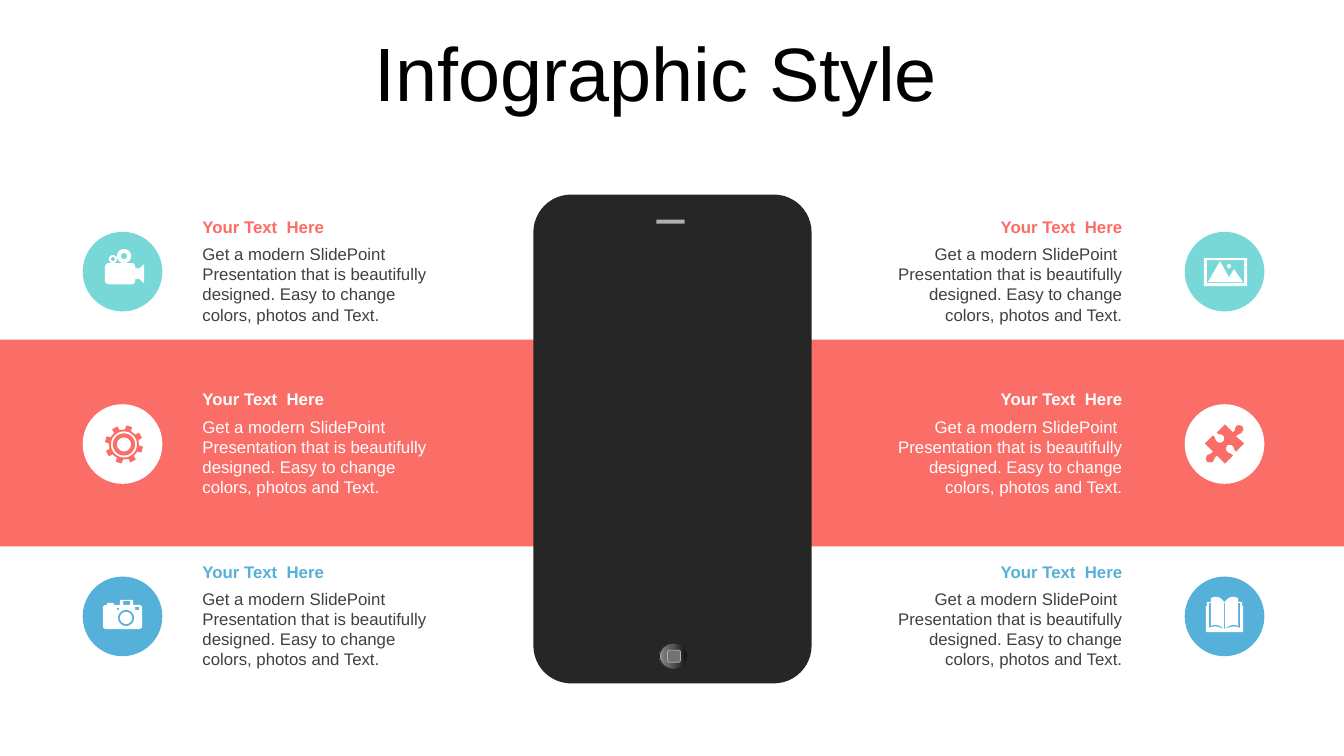
from math import cos, pi, radians, sin

from lxml import etree
from pptx import Presentation
from pptx.dml.color import RGBColor
from pptx.enum.shapes import MSO_SHAPE
from pptx.enum.text import MSO_ANCHOR, MSO_AUTO_SIZE, PP_ALIGN
from pptx.oxml.ns import qn
from pptx.util import Inches, Pt

RECTANGLE = MSO_SHAPE.RECTANGLE
ROUNDED = MSO_SHAPE.ROUNDED_RECTANGLE
OVAL = MSO_SHAPE.OVAL
LEFT, CENTER, RIGHT = PP_ALIGN.LEFT, PP_ALIGN.CENTER, PP_ALIGN.RIGHT
MIDDLE = MSO_ANCHOR.MIDDLE
GROW = MSO_AUTO_SIZE.SHAPE_TO_FIT_TEXT

CORAL, TEAL, BLUE = "FB6D67", "78D7D7", "55B0DA"
WHITE, DARK, GRAY, SILVER = "FFFFFF", "262626", "404040", "B0B0B0"

HEADING = "Your Text  Here"
BODY = ("Get a modern SlidePoint  Presentation that is beautifully designed. "
        "Easy to change colors, photos and Text.")
# Circle, heading, body and icon colours of each row
ROWS = [(TEAL, CORAL, GRAY, WHITE), (WHITE, WHITE, WHITE, CORAL), (BLUE, BLUE, GRAY, WHITE)]
ROW_TOP, ROW_STEP = 2.1, 1.71
# Circle left, text left and alignment of each side
SIDES = [(0.82, 1.91, LEFT), (11.75, 8.59, RIGHT)]


def color(hex_string):
    return RGBColor.from_string(hex_string)


def add_shape(shapes, kind, left, top, width, height, fill, line=None, line_width=0):
    shape = shapes.add_shape(kind, Inches(left), Inches(top), Inches(width), Inches(height))
    style_shape(shape, fill)
    if line:
        shape.line.color.rgb = color(line)
        shape.line.width = Pt(line_width)
    return shape


def style_shape(shape, fill):
    shape.shadow.inherit = False
    shape.fill.solid()
    shape.fill.fore_color.rgb = color(fill)
    shape.line.fill.background()


def set_gradient(shape, stops, angle):
    """Fill with any number of (percent, colour) stops."""
    shape.fill.gradient()
    shape.fill.gradient_angle = angle
    stop_list = shape.element.spPr.find(qn("a:gradFill")).find(qn("a:gsLst"))
    for stop in list(stop_list):
        stop_list.remove(stop)
    for percent, hex_string in stops:
        stop = etree.SubElement(stop_list, qn("a:gs"), pos=str(percent * 1000))
        etree.SubElement(stop, qn("a:srgbClr"), val=hex_string)


def set_text(frame, text, size=12, hex_color=GRAY, bold=False, align=LEFT):
    frame.word_wrap = True
    paragraph = frame.paragraphs[0]
    paragraph.text = text
    paragraph.alignment = align
    font = paragraph.font
    font.name, font.size, font.bold = "Arial", Pt(size), bold
    font.color.rgb = color(hex_color)


def add_text(shapes, left, top, width, height, text, **text_format):
    frame = shapes.add_textbox(Inches(left), Inches(top), Inches(width), Inches(height)).text_frame
    set_text(frame, text, **text_format)
    frame.auto_size = GROW


def box(left, top, right, bottom):
    return [(left, top), (right, top), (right, bottom), (left, bottom)]


def circle(x, y, radius, steps=32):
    angles = [2 * pi * step / steps for step in range(steps)]
    return [(x + radius * cos(angle), y + radius * sin(angle)) for angle in angles]


def flatten(contour, steps=8):
    """Turn pairs (corners) and sextuples (cubic curves) into corners only."""
    points = []
    for item in contour:
        if len(item) == 2:
            points.append(item)
            continue
        corners = [points[-1], item[:2], item[2:4], item[4:]]
        for step in range(1, steps + 1):
            t = step / steps
            weights = [(1 - t) ** 3, 3 * t * (1 - t) ** 2, 3 * t * t * (1 - t), t ** 3]
            points.append(tuple(sum(weight * corner[axis] for weight, corner in zip(weights, corners))
                                for axis in (0, 1)))
    return points


def add_icon(shapes, contours, fill):
    """Draw contours as one outline; a contour inside another makes a hole."""
    builder = None
    for contour in contours:
        start, *others = [(Inches(x), Inches(y)) for x, y in flatten(contour)]
        if builder is None:
            builder = shapes.build_freeform(*start)
        else:
            builder.move_to(*start)
        builder.add_line_segments(others, close=True)
    style_shape(builder.convert_to_shape(), fill)


def video_icon():
    body = [(1.04, 2.65), (1.04, 2.63, 1.06, 2.61, 1.08, 2.61), (1.31, 2.61),
            (1.33, 2.61, 1.34, 2.63, 1.34, 2.65), (1.34, 2.66), (1.36, 2.66), (1.37, 2.67),
            (1.43, 2.62), (1.43, 2.81), (1.37, 2.76), (1.36, 2.77), (1.34, 2.77), (1.34, 2.79),
            (1.34, 2.8, 1.33, 2.82, 1.31, 2.82), (1.08, 2.82), (1.06, 2.82, 1.04, 2.8, 1.04, 2.79)]
    return [body, circle(1.23, 2.54, 0.07), circle(1.23, 2.54, 0.03),
            circle(1.12, 2.57, 0.04), circle(1.12, 2.57, 0.02)]


def gear_icon(x=1.23, y=4.41, teeth=8):
    outline = []
    for tooth in range(teeth):
        for offset, radius in [(-12, 0.15), (-9, 0.19), (9, 0.19), (12, 0.15)]:
            angle = radians(16 + 360 / teeth * tooth + offset)
            outline.append((x + radius * cos(angle), y + radius * sin(angle)))
    return [outline] + [circle(x, y, radius) for radius in (0.13, 0.11, 0.07)]


def camera_icon():
    body = [(1.2, 5.95), (1.31, 5.95), (1.32, 5.96), (1.32, 6), (1.38, 6),
            (1.39, 6, 1.41, 6.01, 1.41, 6.03), (1.41, 6.21), (1.41, 6.23, 1.39, 6.24, 1.38, 6.24),
            (1.05, 6.24), (1.04, 6.24, 1.02, 6.23, 1.02, 6.21), (1.02, 6.03),
            (1.02, 6.01, 1.04, 6, 1.05, 6), (1.06, 6), (1.06, 5.99), (1.07, 5.98), (1.12, 5.98),
            (1.13, 5.99), (1.13, 6), (1.19, 6), (1.19, 5.96)]
    return [body, circle(1.25, 6.13, 0.08), circle(1.25, 6.13, 0.06), box(1.22, 5.96, 1.29, 6),
            box(1.16, 6.03, 1.18, 6.05), box(1.34, 6.02, 1.38, 6.05)]


def photo_icon():
    mountains = [(12.1, 2.59), (12.19, 2.75), (12.24, 2.67), (12.33, 2.8), (11.98, 2.8)]
    return [box(11.94, 2.56, 12.37, 2.84), box(11.97, 2.58, 12.34, 2.81), mountains,
            circle(12.19, 2.64, 0.02)]


def puzzle_icon():
    return [[(12.32, 4.23), (12.33, 4.24, 12.34, 4.27, 12.32, 4.28),
             (12.31, 4.31, 12.28, 4.3, 12.26, 4.33), (12.34, 4.4), (12.26, 4.48),
             (12.23, 4.46, 12.25, 4.44, 12.22, 4.42), (12.21, 4.41, 12.18, 4.41, 12.17, 4.42),
             (12.16, 4.44, 12.15, 4.46, 12.17, 4.48), (12.19, 4.5, 12.2, 4.49, 12.23, 4.52),
             (12.15, 4.6), (12.07, 4.52), (12.04, 4.54, 12.05, 4.55, 12.03, 4.58),
             (12.01, 4.59, 11.99, 4.59, 11.97, 4.58), (11.96, 4.56, 11.96, 4.54, 11.97, 4.52),
             (11.99, 4.5, 12.01, 4.51, 12.03, 4.48), (11.95, 4.4), (12.03, 4.32),
             (12.06, 4.34, 12.05, 4.37, 12.07, 4.38), (12.09, 4.4, 12.12, 4.39, 12.13, 4.38),
             (12.14, 4.37, 12.15, 4.34, 12.13, 4.32), (12.1, 4.3, 12.09, 4.32, 12.07, 4.29),
             (12.15, 4.21), (12.23, 4.29), (12.26, 4.26, 12.24, 4.26, 12.26, 4.23),
             (12.28, 4.21, 12.31, 4.22, 12.32, 4.23)]]


def book_icon(mirror=24.29):
    left_half = flatten([(12.14, 5.97), (12.12, 5.94, 12.09, 5.92, 12.06, 5.92),
                         (12.04, 5.92, 12.03, 5.93, 12.01, 5.93), (12.01, 5.97), (11.97, 5.97),
                         (11.97, 6.01), (11.96, 6.01), (11.96, 6.27)])
    page_edge = flatten([(11.99, 5.98), (12.01, 5.98), (12.01, 6.21),
                         (12.05, 6.19, 12.1, 6.2, 12.14, 6.24),
                         (12.09, 6.22, 12.05, 6.2, 11.99, 6.23)])
    right_half = [(mirror - x, y) for x, y in reversed(left_half)]
    return [left_half + right_half, page_edge, [(mirror - x, y) for x, y in page_edge],
            box(12.14, 5.98, 12.15, 6.24)]


def add_phone(slide):
    shapes = slide.shapes.add_group_shape().shapes
    case = add_shape(shapes, ROUNDED, 5.29, 1.93, 2.76, 4.85, DARK)
    case.adjustments[0] = 0.136
    add_shape(shapes, RECTANGLE, 6.51, 2.18, 0.28, 0.04, SILVER)
    button = add_shape(shapes, OVAL, 6.54, 6.38, 0.28, 0.26, GRAY, line=DARK)
    set_gradient(button, [(0, "0F0F0F"), (56, "595959"), (91, "808080"), (100, "BFBFBF")], 180)
    add_shape(shapes, ROUNDED, 6.62, 6.45, 0.13, 0.12, "737373", line=SILVER, line_width=0.5)


def add_feature(slide, top, side, colors, icon):
    circle_left, text_left, align = side
    circle_color, heading_color, body_color, icon_color = colors
    add_shape(slide.shapes, OVAL, circle_left, top + 0.2, 0.79, 0.79, circle_color)
    add_icon(slide.shapes, icon, icon_color)
    texts = slide.shapes.add_group_shape().shapes
    add_text(texts, text_left, top, 2.64, 0.3, HEADING,
             hex_color=heading_color, bold=True, align=align)
    add_text(texts, text_left, top + 0.27, 2.64, 0.91, BODY, hex_color=body_color, align=align)


def add_title(slide, text):
    title = slide.shapes.title
    title.left, title.top, title.width, title.height = (
        Inches(0), Inches(0.37), Inches(13.01), Inches(0.79))
    set_text(title.text_frame, text, size=54, hex_color="000000", align=CENTER)
    title.text_frame.vertical_anchor = MIDDLE
    title.text_frame.paragraphs[0].line_spacing = 0.9


def main():
    presentation = Presentation()
    presentation.slide_width, presentation.slide_height = Inches(13.33), Inches(7.5)
    slide = presentation.slides.add_slide(presentation.slide_layouts[5])
    add_title(slide, "Infographic Style")
    add_shape(slide.shapes, RECTANGLE, 0, 3.37, 13.33, 2.05, CORAL)
    add_phone(slide)
    icons = [(video_icon(), gear_icon(), camera_icon()), (photo_icon(), puzzle_icon(), book_icon())]
    for side, side_icons in zip(SIDES, icons):
        for row, (colors, icon) in enumerate(zip(ROWS, side_icons)):
            add_feature(slide, ROW_TOP + row * ROW_STEP, side, colors, icon)
    presentation.save("out.pptx")


if __name__ == "__main__":
    main()
